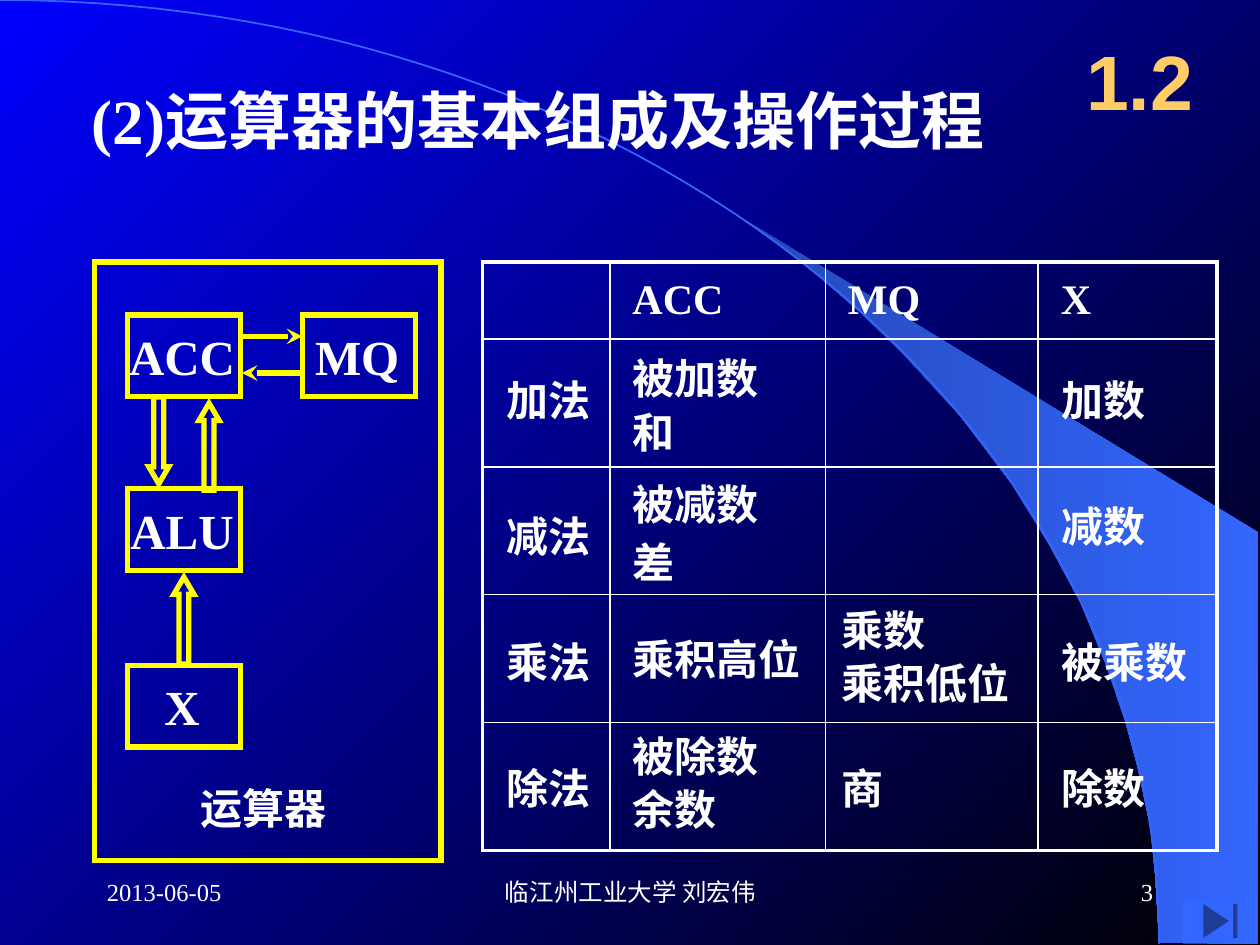
from dataclasses import dataclass

from lxml import etree
from pptx import Presentation
from pptx.dml.color import RGBColor
from pptx.enum.shapes import MSO_CONNECTOR, MSO_SHAPE
from pptx.enum.text import MSO_ANCHOR, PP_ALIGN
from pptx.oxml.ns import qn
from pptx.util import Inches, Pt

LEFT, CENTER, RIGHT = PP_ALIGN.LEFT, PP_ALIGN.CENTER, PP_ALIGN.RIGHT
TOP, MIDDLE = MSO_ANCHOR.TOP, MSO_ANCHOR.MIDDLE
RECTANGLE, UP_ARROW = MSO_SHAPE.RECTANGLE, MSO_SHAPE.UP_ARROW
END_BUTTON = MSO_SHAPE.ACTION_BUTTON_END
STRAIGHT = MSO_CONNECTOR.STRAIGHT


@dataclass(frozen=True)
class Theme:
    white: str = "FFFFFF"
    yellow: str = "FFFF00"
    gold: str = "FFCC66"
    sky: str = "3366FF"
    wedge: str = "2449B6"
    blue: str = "0000FF"
    black: str = "000000"
    serif: str = "Times New Roman"
    sans: str = "Arial"
    chinese: str = "Noto Sans CJK SC"
    title: int = 36
    section: int = 44
    node: int = 28
    body: int = 24
    footer: int = 14
    outline: int = 3


THEME = Theme()

WEDGE = [
    (9.2, 7.48), (9.99, 7.49), (9.99, 4.23), (5.89, 1.73), (6.24, 1.99),
    (6.53, 2.22), (6.85, 2.5), (7.16, 2.8), (7.62, 3.3), (8.03, 3.84),
    (8.32, 4.31), (8.58, 4.79), (8.78, 5.28), (8.93, 5.72), (9.03, 6.09),
    (9.13, 6.56), (9.17, 6.96),
]
ARC_CONTROLS = [(0, 0), (5.08, 0), (9.2, 3.35), (9.2, 7.49)]

TABLE_AREA = (3.83, 2.08, 5.83, 4.67)
HEADERS = ["", "ACC", "MQ", "X"]
COLUMN_WIDTHS = [1.01, 1.71, 1.69, 1.42]
HEADER_HEIGHT, OPERATION_COUNT = 0.61, 4
ROW_HEIGHT = (TABLE_AREA[3] - HEADER_HEIGHT) / OPERATION_COUNT

# Entries over the grid: left and width of a column, then top and text
ENTRIES = {
    (3.92, 1.2): [(2.92, "加法"), (4, "减法"), (5, "乘法"), (6, "除法")],
    (4.92, 2): [(2.75, "被加数"), (3.18, "和"), (3.75, "被减数"), (4.21, "差"),
                (4.98, "乘积高位"), (5.75, "被除数"), (6.17, "余数")],
    (6.58, 2): [(4.75, "乘数"), (5.17, "乘积低位"), (6, "商")],
    (8.33, 1.5): [(2.92, "加数"), (3.92, "减数"), (5, "被乘数"), (6, "除数")],
}


def rgb(value):
    return RGBColor.from_string(value)


def set_values(target, values):
    for name, value in values.items():
        setattr(target, name, value)


def write(frame, text, size, font=THEME.serif, color=THEME.white, bold=True,
          align=LEFT, anchor=TOP):
    """Fill a text frame with one formatted line."""
    frame.word_wrap = True
    frame.vertical_anchor = anchor
    frame.text = text
    para = frame.paragraphs[0]
    para.alignment = align
    span = para.runs[0]
    set_values(span.font, {"name": font, "size": Pt(size), "bold": bold})
    span.font.color.rgb = rgb(color)


def add_text(page, area, text, size, **style):
    box = page.shapes.add_textbox(*map(Inches, area))
    write(box.text_frame, text, size, **style)


def set_gradient(fill, colors, angle):
    fill.gradient()
    fill.gradient_angle = angle
    for stop, position, color in zip(fill.gradient_stops, (0, 1), colors):
        stop.position = position
        stop.color.rgb = rgb(color)


def add_outline(page, points, closed):
    corners = [(Inches(x), Inches(y)) for x, y in points]
    builder = page.shapes.build_freeform(*corners[0])
    builder.add_line_segments(corners[1:], close=closed)
    shape = builder.convert_to_shape()
    shape.shadow.inherit = False
    return shape


def add_frame(page, kind, area):
    """Add an unfilled shape with a sharp yellow outline."""
    shape = page.shapes.add_shape(kind, *map(Inches, area))
    shape.shadow.inherit = False
    shape.fill.background()
    shape.line.color.rgb = rgb(THEME.yellow)
    shape.line.width = Pt(THEME.outline)
    etree.SubElement(shape.line._get_or_add_ln(), qn("a:miter"), lim="800000")
    return shape


def add_node(page, area, text):
    node = add_frame(page, RECTANGLE, area)
    set_values(node.text_frame, {
        "margin_left": 0, "margin_right": Inches(0.03),
        "margin_top": 0, "margin_bottom": 0,
    })
    write(node.text_frame, text, THEME.node, align=CENTER, anchor=MIDDLE)


def add_block_arrow(page, left, top, rotation=0):
    arrow = add_frame(page, UP_ARROW, (left, top, 0.16, 0.69))
    arrow.adjustments[0] = 0.495
    arrow.adjustments[1] = 0.857
    arrow.rotation = rotation


def add_line_arrow(page, start, end, y):
    arrow = page.shapes.add_connector(STRAIGHT, *map(Inches, (start, y, end, y)))
    arrow.line.color.rgb = rgb(THEME.yellow)
    arrow.line.width = Pt(THEME.outline)
    etree.SubElement(arrow.line._get_or_add_ln(), qn("a:tailEnd"), type="stealth")
    etree.SubElement(arrow.element.spPr, qn("a:effectLst"))


def set_borders(cell, widths):
    properties = cell._tc.get_or_add_tcPr()
    for side, width in widths.items():
        line = etree.SubElement(properties, qn(f"a:ln{side}"), w=str(Pt(width)))
        fill = etree.SubElement(line, qn("a:solidFill"))
        etree.SubElement(fill, qn("a:srgbClr"), val=THEME.white)


def add_backdrop(page):
    set_gradient(page.background.fill, (THEME.blue, THEME.black), 315)
    wedge = add_outline(page, WEDGE, closed=True)
    set_gradient(wedge.fill, (THEME.wedge, THEME.sky), 0)
    wedge.line.fill.background()

    # Cubic curve, sampled at even steps
    weights = [((1 - t) ** 3, 3 * t * (1 - t) ** 2, 3 * t * t * (1 - t), t ** 3)
               for t in (step / 60 for step in range(61))]
    points = [tuple(sum(w * p[axis] for w, p in zip(row, ARC_CONTROLS))
                    for axis in (0, 1)) for row in weights]
    arc = add_outline(page, points, closed=False)
    arc.fill.background()
    arc.line.color.rgb = rgb(THEME.sky)
    arc.line.width = Pt(1)


def add_heading(page):
    title = page.shapes.title
    area = map(Inches, (0.63, 0.6, 7.99, 0.7))
    set_values(title, dict(zip(("left", "top", "width", "height"), area)))
    write(title.text_frame, "(2)运算器的基本组成及操作过程", THEME.title)
    # Bring the title in front of the backdrop
    title.element.getparent().append(title.element)
    add_text(page, (8.42, 0.17, 1.25, 0.92), "1.2", THEME.section,
             font=THEME.sans, color=THEME.gold, align=CENTER, anchor=MIDDLE)


def add_operations_table(page):
    last_row, last_column = OPERATION_COUNT, len(HEADERS) - 1
    table = page.shapes.add_table(last_row + 1, last_column + 1,
                                  *map(Inches, TABLE_AREA)).table
    set_values(table, {"first_row": False, "horz_banding": False})
    for column, width in zip(table.columns, COLUMN_WIDTHS):
        column.width = Inches(width)
    for r, row in enumerate(table.rows):
        row.height = Inches(ROW_HEIGHT if r else HEADER_HEIGHT)
        for c, cell in enumerate(row.cells):
            if r == 0 and HEADERS[c]:
                write(cell.text_frame, HEADERS[c], THEME.body)
                set_values(cell, {"margin_left": Inches(0.18),
                                  "vertical_anchor": MIDDLE})
            edges = {"L": c == 0, "R": c == last_column,
                     "T": r == 0, "B": r == last_row}
            set_borders(cell, {side: 2.25 if outer else 1
                               for side, outer in edges.items()})
            cell.fill.background()


def add_entries(page):
    for (left, width), column in ENTRIES.items():
        for top, text in column:
            add_text(page, (left, top, width, 0.5), text, THEME.body)


def add_arithmetic_unit(page):
    add_frame(page, RECTANGLE, (0.75, 2.08, 2.75, 4.75))
    add_text(page, (1.49, 6.16, 1.25, 0.5), "运算器", THEME.body,
             font=THEME.chinese)
    for text, left, top in (("ACC", 1.01, 2.5), ("MQ", 2.4, 2.5),
                            ("ALU", 1.01, 3.88), ("X", 1.01, 5.28)):
        add_node(page, (left, top, 0.9, 0.65), text)
    for left, top, rotation in ((1.58, 3.2, 0), (1.38, 4.58, 0), (1.18, 3.15, 180)):
        add_block_arrow(page, left, top, rotation)
    add_line_arrow(page, 1.91, 2.4, 2.67)
    add_line_arrow(page, 2.4, 1.92, 2.96)


def add_footer(page):
    button = page.shapes.add_shape(END_BUTTON, *map(Inches, (9.39, 7.13, 0.59, 0.36)))
    button.shadow.inherit = False
    button.fill.solid()
    button.fill.fore_color.rgb = rgb(THEME.sky)
    button.line.fill.background()
    for left, width, text, align in ((0.75, 2.08, "2013-06-05", LEFT),
                                     (3.42, 3.17, "临江州工业大学 刘宏伟", CENTER),
                                     (7.17, 2.08, "3", RIGHT)):
        add_text(page, (left, 6.83, width, 0.5), text, THEME.footer,
                 bold=False, align=align, anchor=MIDDLE)


def main():
    deck = Presentation()
    set_values(deck, {"slide_width": Inches(10), "slide_height": Inches(7.5)})
    page = deck.slides.add_slide(deck.slide_layouts[5])
    add_backdrop(page)
    add_heading(page)
    add_operations_table(page)
    add_arithmetic_unit(page)
    add_entries(page)
    add_footer(page)
    deck.save("out.pptx")


if __name__ == "__main__":
    main()
